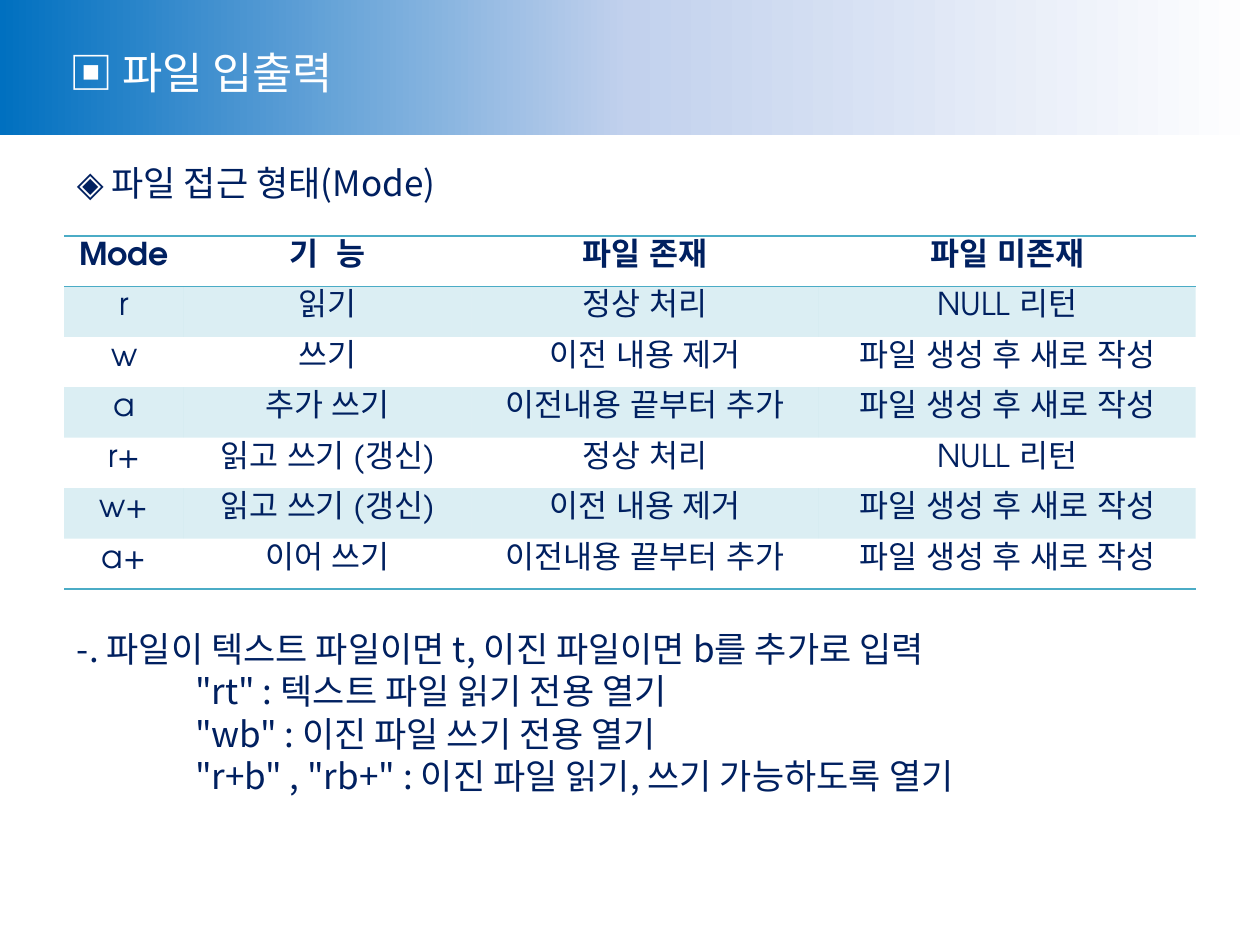
import dataclasses

import lxml.etree
import pptx
import pptx.dml.color
import pptx.enum.shapes
import pptx.enum.text
import pptx.oxml.ns
import pptx.util

Pt = pptx.util.Pt
qn = pptx.oxml.ns.qn


@dataclasses.dataclass
class Theme:
    navy: str = "002060"
    white: str = "FFFFFF"
    blue: str = "0070C0"
    pale: str = "C2D1ED"
    teal: str = "4BACC6"
    sans: str = "Noto Sans CJK KR"
    round: str = "TeX Gyre Adventor"
    title: int = 25
    body: int = 20
    cell: int = 18
    lead: float = 1.21


theme = Theme()


def style(para, face, size, color, bold=False):
    """Set one font for the Latin and the Korean letters of a paragraph."""
    font = para.font
    font.size, font.bold = Pt(size), bold
    font.color.rgb = pptx.dml.color.RGBColor.from_string(color)
    font.name = face
    east = lxml.etree.SubElement(font._rPr, qn("a:ea"))
    east.set("typeface", face)


def tint(parent, color, alpha=100):
    """Add a solid colour with an opacity in percent."""
    solid = lxml.etree.SubElement(parent, qn("a:solidFill"))
    rgb = lxml.etree.SubElement(solid, qn("a:srgbClr"), val=color)
    if alpha < 100:
        lxml.etree.SubElement(rgb, qn("a:alpha"), val=str(alpha * 1000))


deck = pptx.Presentation()
deck.slide_width, deck.slide_height = Pt(720), Pt(540)
slide = deck.slides.add_slide(deck.slide_layouts[6])

# Header band
band = slide.shapes.add_shape(
    pptx.enum.shapes.MSO_SHAPE.RECTANGLE, 0, 0, Pt(720), Pt(77)
)
band.shadow.inherit = False
band.line.fill.background()
band.fill.gradient()
band.fill.gradient_angle = 0
stops = band._element.spPr.find(".//" + qn("a:gsLst"))
for stop in list(stops):
    stops.remove(stop)
for place, color in [(0, theme.blue), (50, theme.pale), (100, theme.white)]:
    stop = lxml.etree.SubElement(stops, qn("a:gs"), pos=str(place * 1000))
    lxml.etree.SubElement(stop, qn("a:srgbClr"), val=color)

title = slide.shapes.add_textbox(Pt(32.4), Pt(22.3), Pt(183.6), Pt(37.4))
title.text_frame.word_wrap = False
para = title.text_frame.paragraphs[0]
para.text = "▣ 파일 입출력"
para.line_spacing = Pt(theme.title * theme.lead)
style(para, theme.sans, theme.title, theme.white)

# Body text, with a gap of ten lines for the table
step = theme.body * theme.lead
lines = [
    (" ◈ 파일 접근 형태(Mode)", 0, 0),
    (" -. 파일이 텍스트 파일이면 t, 이진 파일이면 b를 추가로 입력", 0, 10),
    ('"rt" : 텍스트 파일 읽기 전용 열기', 72, 0),
    ('"wb" : 이진 파일 쓰기 전용 열기', 72, 0),
    ('"r+b" , "rb+" : 이진 파일 읽기, 쓰기 가능하도록 열기', 72, 0),
]
body = slide.shapes.add_textbox(Pt(32.4), Pt(88.6), Pt(650.9), Pt(370.8))
frame = body.text_frame
frame.word_wrap = True
for num, (text, left, gap) in enumerate(lines):
    para = frame.add_paragraph() if num else frame.paragraphs[0]
    para.text = text
    para.line_spacing = Pt(step)
    if gap:
        para.space_before = Pt(gap * step)
    para._p.get_or_add_pPr().set("marL", str(Pt(left)))
    style(para, theme.sans, theme.body, theme.navy)

# Table of modes
fresh = "파일 생성 후 새로 작성"
rows = [
    ("Mode", "기  능", "파일 존재", "파일 미존재"),
    ("r", "읽기", "정상 처리", "NULL 리턴"),
    ("w", "쓰기", "이전 내용 제거", fresh),
    ("a", "추가 쓰기", "이전내용 끝부터 추가", fresh),
    ("r+", "읽고 쓰기 (갱신)", "정상 처리", "NULL 리턴"),
    ("w+", "읽고 쓰기 (갱신)", "이전 내용 제거", fresh),
    ("a+", "이어 쓰기", "이전내용 끝부터 추가", fresh),
]
wide = [68.4, 164.2, 198.7, 215.3]
high = 28.8
grid = slide.shapes.add_table(
    len(rows), len(wide), Pt(36.7), Pt(134.8), Pt(sum(wide)), Pt(high * len(rows))
)
table = grid.table
plain = "{2D5ABB26-0587-4C30-8999-92F81FD0307C}"
table._tbl.tblPr.find(qn("a:tableStyleId")).text = plain
for col, width in zip(table.columns, wide):
    col.width = Pt(width)

for r, row in enumerate(rows):
    table.rows[r].height = Pt(high)
    sides = {0: ["lnT", "lnB"], len(rows) - 1: ["lnB"]}.get(r, [])
    for c, text in enumerate(row):
        cell = table.cell(r, c)
        para = cell.text_frame.paragraphs[0]
        para.text = text
        para.alignment = pptx.enum.text.PP_ALIGN.CENTER
        style(para, theme.round, theme.cell, theme.navy, r == 0)
        props = cell._tc.get_or_add_tcPr()
        for side in sides:
            edge = lxml.etree.SubElement(props, qn("a:" + side), w=str(Pt(1)))
            tint(edge, theme.teal)
        if r % 2:
            tint(props, theme.teal, 20)
        else:
            cell.fill.background()

deck.save("out.pptx")
